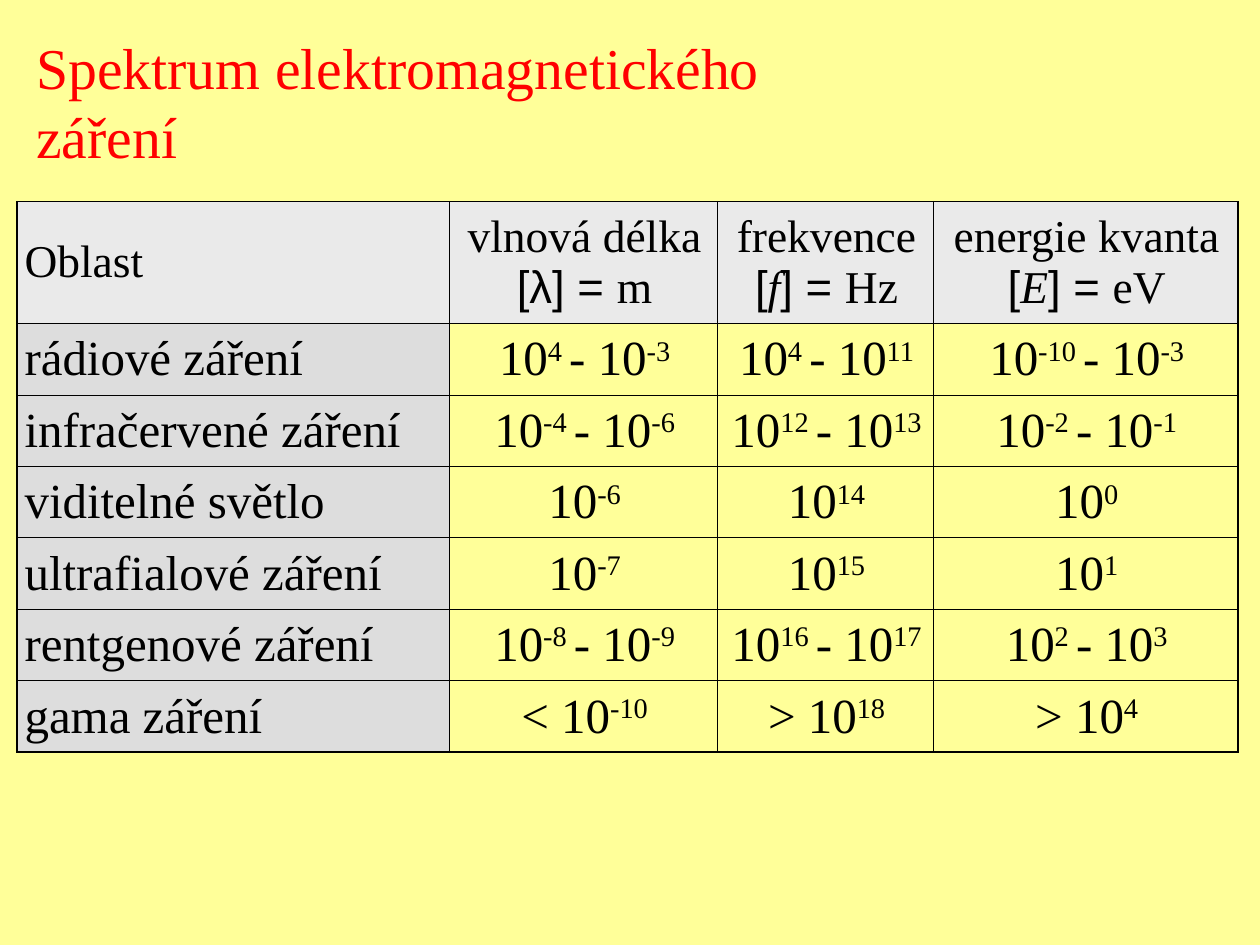
from lxml.etree import SubElement as Sub
from pptx import Presentation
from pptx.dml.color import RGBColor
from pptx.enum.text import MSO_ANCHOR as Anchor, MSO_AUTO_SIZE as Auto, PP_ALIGN as Align
from pptx.oxml.ns import qn
from pptx.util import Inches, Pt

# Marks on the first letter of a run; runs are split by "|"
SUP, ITAL, SANS = "^", "/", "#"

HEAD = [
    ["Oblast"],
    ["vlnová délka", "#[λ] = |m"],
    ["frekvence", "#[|/f|#] = |Hz"],
    ["energie kvanta", "#[|/E|#] = |eV"],
]
BODY = [
    ["rádiové záření", "10|^4 |- 10|^-3", "10|^4 |- 10|^11", "10|^-10 |- 10|^-3"],
    ["infračervené záření", "10|^-4 |- 10|^-6", "10|^12 |- 10|^13", "10|^-2 |- 10|^-1"],
    ["viditelné světlo", "10|^-6", "10|^14", "10|^0"],
    ["ultrafialové záření", "10|^-7", "10|^15", "10|^1"],
    ["rentgenové záření", "10|^-8 |- 10|^-9", "10|^16 |- 10|^17", "10|^2 |- 10|^3"],
    ["gama záření", "< 10|^-10", "> 10|^18", "> 10|^4"],
]


def hue(code):
    return RGBColor.from_string(code)


class Deck:
    serif, sans = "Times New Roman", "Arial"
    ink, red, back = "000000", "FF0000", "FFFF99"
    top, side = "EAEAEA", "DDDDDD"
    thin, thick = 0.45, 1.08

    def __init__(self):
        self.show = Presentation()
        self.show.slide_width, self.show.slide_height = Inches(10), Inches(7.5)
        self.unit = self.show.slide_width / 100  # grid of 100 columns by 75 rows
        self.slide = self.show.slides.add_slide(self.show.slide_layouts[6])
        fill = self.slide.background.fill
        fill.solid()
        fill.fore_color.rgb = hue(self.back)

    def span(self, *sizes):
        return [round(size * self.unit) for size in sizes]

    def text(self, para, words, size, color):
        """Fill a paragraph with marked runs."""
        for part in words.split("|"):
            mark = part[0]
            run = para.add_run()
            run.text = part.lstrip(SUP + ITAL + SANS)
            font = run.font
            font.size, font.color.rgb = Pt(size), hue(color)
            font.name = self.sans if mark == SANS else self.serif
            if mark == ITAL:
                font.italic = True
            if mark == SUP:
                run._r.get_or_add_rPr().set("baseline", "30000")

    def title(self, words, *box):
        frame = self.slide.shapes.add_textbox(*self.span(*box)).text_frame
        frame.word_wrap, frame.auto_size = False, Auto.SHAPE_TO_FIT_TEXT
        self.text(frame.paragraphs[0], words, 33, self.red)

    def edge(self, cell, widths):
        """Draw the left, right, top and bottom borders, ahead of the fill."""
        props = cell._tc.get_or_add_tcPr()
        for spot, (name, width) in enumerate(zip("LRTB", widths)):
            line = Sub(props, qn(f"a:ln{name}"), w=str(Pt(width)))
            solid = Sub(line, qn("a:solidFill"))
            Sub(solid, qn("a:srgbClr"), val=self.ink)
            props.insert(spot, line)

    def cell(self, cell, lines, size, fill, align):
        cell.vertical_anchor = Anchor.MIDDLE
        cell.margin_left, cell.margin_right = Inches(0.06), Inches(0.04)
        cell.margin_top = cell.margin_bottom = Inches(0.05)
        if fill:
            cell.fill.solid()
            cell.fill.fore_color.rgb = hue(fill)
        else:
            cell.fill.background()
        frame = cell.text_frame
        for row, line in enumerate(lines):
            para = frame.add_paragraph() if row else frame.paragraphs[0]
            para.alignment = align
            self.text(para, line, size, self.ink)

    def table(self, head, body, left, top, cols, rows):
        box = self.span(left, top, sum(cols), sum(rows))
        grid = self.slide.shapes.add_table(len(rows), len(cols), *box).table
        grid.first_row = grid.horz_banding = False
        for col, width in zip(grid.columns, self.span(*cols)):
            col.width = width
        for row, height in zip(grid.rows, self.span(*rows)):
            row.height = height

        # Thick lines go around the table and under the header
        data = [head] + [[[words] for words in row] for row in body]
        end, last = len(rows) - 1, len(cols) - 1
        for r, row in enumerate(data):
            for c, lines in enumerate(row):
                fill = self.top if r == 0 else self.side if c == 0 else None
                align = Align.CENTER if c else Align.LEFT
                cell = grid.cell(r, c)
                self.cell(cell, lines, 28 if r else 26, fill, align)
                bold = (c == 0, c == last, r < 2, r in (0, end))
                self.edge(cell, [self.thick if b else self.thin for b in bold])


def main():
    deck = Deck()
    # Title
    deck.title("Spektrum elektromagnetického záření", 1.9, 2, 71.7, 6.5)
    # Table of the spectrum
    rows = [9.65] + [5.67] * len(BODY)
    deck.table(HEAD, BODY, 1.35, 16, [34.3, 21.3, 17.1, 24.2], rows)
    deck.show.save("out.pptx")


if __name__ == "__main__":
    main()
